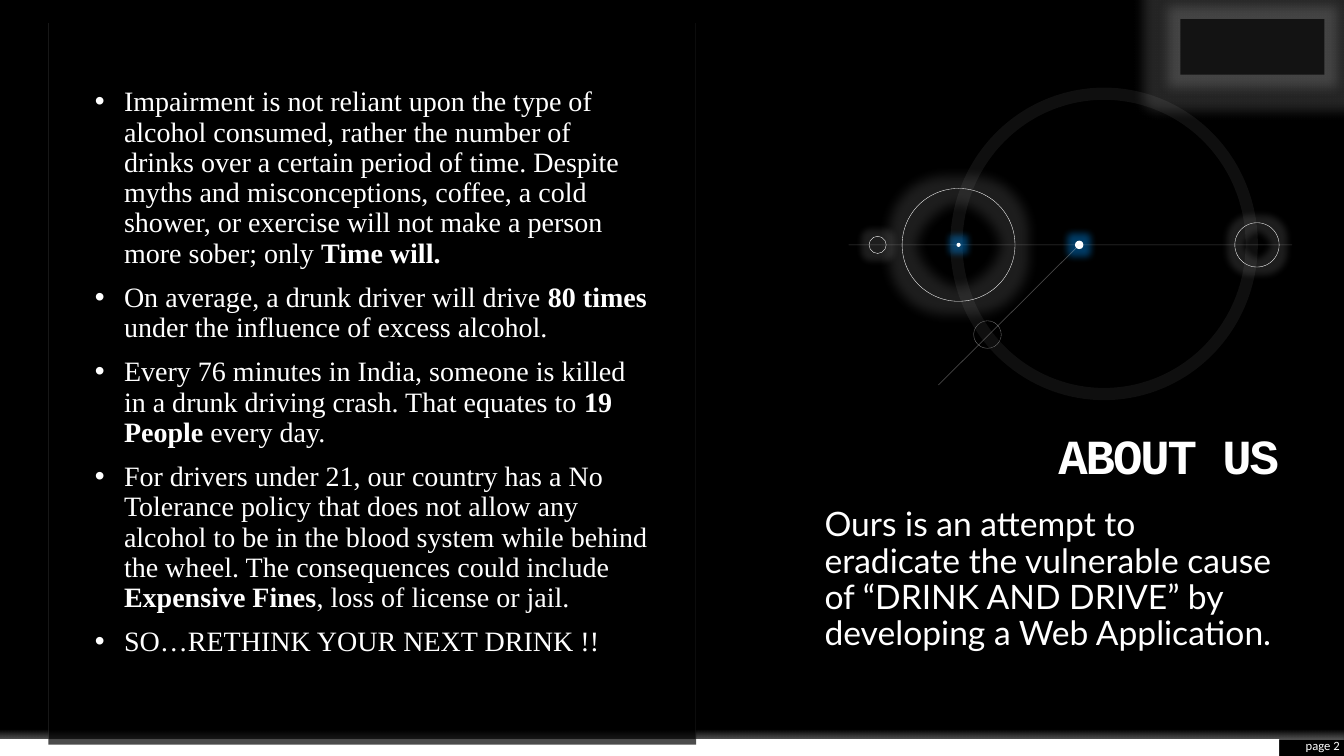
from lxml.etree import SubElement
from pptx import Presentation
from pptx.dml.color import RGBColor
from pptx.enum.dml import MSO_LINE
from pptx.enum.shapes import MSO_CONNECTOR, MSO_SHAPE
from pptx.enum.text import MSO_ANCHOR, MSO_AUTO_SIZE, PP_ALIGN
from pptx.oxml.ns import qn
from pptx.util import Inches, Pt

WIDTH, HEIGHT = Inches(13.33), Inches(7.5)
CELL = WIDTH / 40
WHITE, BLACK, BLUE = "FFFFFF", "000000", "0096FF"
TWO_CONTENT = 3
AXIS_ROW = 7.29
HUB_COLUMN = 32.12
PLANET_COLUMN = 28.53

FACTS = [
    [("Impairment is not reliant upon the type of alcohol consumed, rather the number of drinks "
      "over a certain period of time. Despite myths and misconceptions, coffee, a cold shower, "
      "or exercise will not make a person more sober; only ", False), ("Time will.", True)],
    [("On average, a drunk driver will drive ", False), ("80 times ", True),
     ("under the influence of excess alcohol.", False)],
    [("Every 76 minutes in India, someone is killed in a drunk driving crash. "
      "That equates to ", False), ("19 People", True), (" every day.", False)],
    [("For drivers under 21, our country has a No Tolerance policy that does not allow any "
      "alcohol to be in the blood system while behind the wheel. The consequences could include ",
      False), ("Expensive Fines", True), (", loss of license or jail.", False)],
    [("SO…RETHINK YOUR NEXT DRINK !!", False)],
]
TITLE = [[("ABOUT US", True)]]
MISSION = [[("Ours is an attempt to eradicate the vulnerable cause of “DRINK AND DRIVE” "
             "by developing a Web Application.", False)]]


def cells(*lengths):
    return [round(length * CELL) for length in lengths]


def apply(target, values):
    for name, value in values.items():
        setattr(target, name, value)


def paint(color, value):
    color.rgb = RGBColor.from_string(value)


def fade(color_node, percent):
    SubElement(color_node, qn("a:alpha"), val=str(percent * 1000))


def fill_shape(shape, value, percent=100):
    shape.fill.solid()
    paint(shape.fill.fore_color, value)
    if percent < 100:
        fade(shape._element.spPr.find(qn("a:solidFill"))[0], percent)


def stroke(shape, value, points, percent=100, dash=None):
    shape.line.width = Pt(points)
    paint(shape.line.color, value)
    if dash:
        shape.line.dash_style = dash
    if percent < 100:
        fade(shape.line._ln.find(qn("a:solidFill"))[0], percent)


def add_glow(shape, value, points, percent):
    effects = shape._element.spPr.find(qn("a:effectLst"))
    glow = SubElement(effects, qn("a:glow"), rad=str(Pt(points)))
    fade(SubElement(glow, qn("a:srgbClr"), val=value), percent)


def add_plain(page, kind, left, top, width, height):
    shape = page.shapes.add_shape(kind, *cells(left, top, width, height))
    shape.shadow.inherit = False
    shape.fill.background()
    shape.line.fill.background()
    return shape


def add_panel(page, place, value, percent=100):
    panel = add_plain(page, MSO_SHAPE.RECTANGLE, *place)
    fill_shape(panel, value, percent)
    return panel


def add_fading_strip(page, place):
    strip = add_plain(page, MSO_SHAPE.RECTANGLE, *place)
    strip.fill.gradient()
    strip.fill.gradient_angle = 270
    for stop, position, percent in zip(strip.fill.gradient_stops, (0.4, 1), (0, 35)):
        paint(stop.color, WHITE)
        stop.position = position
        color_node = stop._gs[0]
        for child in list(color_node):
            color_node.remove(child)
        fade(color_node, percent)


def add_circle(page, column, row, width, height=None):
    height = height or width
    return add_plain(page, MSO_SHAPE.OVAL, column - width / 2, row - height / 2, width, height)


def add_ring(page, column, row, size, glow):
    ring = add_circle(page, column, row, size)
    stroke(ring, WHITE, 0.25)
    add_glow(ring, WHITE, glow, 12)


def add_dot(page, column, size):
    dot = add_circle(page, column, AXIS_ROW, size)
    fill_shape(dot, WHITE)
    add_glow(dot, BLUE, 10, 40)


def add_line(page, start, end, value, points, percent):
    line = page.shapes.add_connector(MSO_CONNECTOR.STRAIGHT, *cells(*start, *end))
    stroke(line, value, points, percent)
    SubElement(line._element.spPr, qn("a:effectLst"))


def set_bullet(para, char):
    properties = para._p.get_or_add_pPr()
    hang = Inches(0.29) if char else 0
    properties.set("marL", str(hang))
    properties.set("indent", str(-hang))
    if char:
        SubElement(properties, qn("a:buFont"), typeface="Arial")
        SubElement(properties, qn("a:buChar"), char=char)
    else:
        SubElement(properties, qn("a:buNone"))


def write_text(box, place, paragraphs, font, size, align=PP_ALIGN.LEFT,
               anchor=MSO_ANCHOR.TOP, before=0, spacing=0.9, bullet=None, tracking=0):
    apply(box, dict(zip(("left", "top", "width", "height"), cells(*place))))
    frame = box.text_frame
    apply(frame, {"word_wrap": True, "auto_size": MSO_AUTO_SIZE.NONE, "vertical_anchor": anchor,
                  "margin_left": 0, "margin_top": 0, "margin_right": 0, "margin_bottom": 0})
    for index, pieces in enumerate(paragraphs):
        para = frame.add_paragraph() if index else frame.paragraphs[0]
        apply(para, {"alignment": align, "line_spacing": spacing, "space_before": Pt(before)})
        set_bullet(para, bullet)
        for text, bold in pieces:
            span = para.add_run()
            span.text = text
            apply(span.font, {"name": font, "size": Pt(size), "bold": bold})
            paint(span.font.color, WHITE)
            if tracking:
                span._r.get_or_add_rPr().set("spc", str(round(tracking * 100)))


def add_frame(page):
    add_panel(page, (0, 22, 38.07, 0.5), WHITE)
    add_fading_strip(page, (0, 21.5, 40, 0.5))
    add_panel(page, (1.44, 12.79, 19.28, 9.38), BLACK, 70)
    for column in (20.7, 1.44):
        add_line(page, (column, 0.69), (column, 22), "F2F2F2", 0.25, 15)
    number = page.shapes.add_textbox(0, 0, 0, 0)
    write_text(number, (38.07, 21.93, 1.8, 0.5), [[("page 2", False)]], "Calibri", 9,
               align=PP_ALIGN.RIGHT, anchor=MSO_ANCHOR.MIDDLE, spacing=1)


def add_orbits(page):
    add_ring(page, PLANET_COLUMN, AXIS_ROW, 3.36, 18)
    add_ring(page, 37.41, AXIS_ROW, 1.32, 10)
    add_dot(page, HUB_COLUMN, 0.25)
    orbit = add_circle(page, 32.86, 7.26, 8.79, 8.94)
    stroke(orbit, WHITE, 8.75, 6)
    add_line(page, (25.26, AXIS_ROW), (38.46, AXIS_ROW), "E7E6E6", 0.5, 30)
    add_dot(page, PLANET_COLUMN, 0.12)
    moon = add_circle(page, 29.39, 9.96, 0.82)
    stroke(moon, "808080", 0.25, dash=MSO_LINE.SQUARE_DOT)
    add_ring(page, 26.12, AXIS_ROW, 0.51, 10)
    add_line(page, (27.93, 11.46), (HUB_COLUMN, AXIS_ROW), "E7E6E6", 0.5, 30)


def main():
    deck = Presentation()
    apply(deck, {"slide_width": WIDTH, "slide_height": HEIGHT})
    page = deck.slides.add_slide(deck.slide_layouts[TWO_CONTENT])
    page.background.fill.solid()
    paint(page.background.fill.fore_color, BLACK)
    title, facts, mission = page.placeholders
    add_frame(page)
    for box in (facts, title, mission):
        page.shapes._spTree.append(box._element)
    write_text(facts, (2.82, 2.61, 16.47, 16), FACTS, "Times New Roman", 20,
               before=10, bullet="•")
    write_text(title, (21.39, 12.06, 16.68, 2.37), TITLE, "Courier New", 35,
               align=PP_ALIGN.RIGHT, anchor=MSO_ANCHOR.BOTTOM, tracking=-1.5)
    write_text(mission, (24.54, 15.12, 13.53, 5.91), MISSION, "Lato", 24, before=10)
    add_orbits(page)
    badge = add_panel(page, (35.13, 0.57, 4.29, 1.65), "131313")
    add_glow(badge, WHITE, 18, 15)
    deck.save("out.pptx")


if __name__ == "__main__":
    main()
